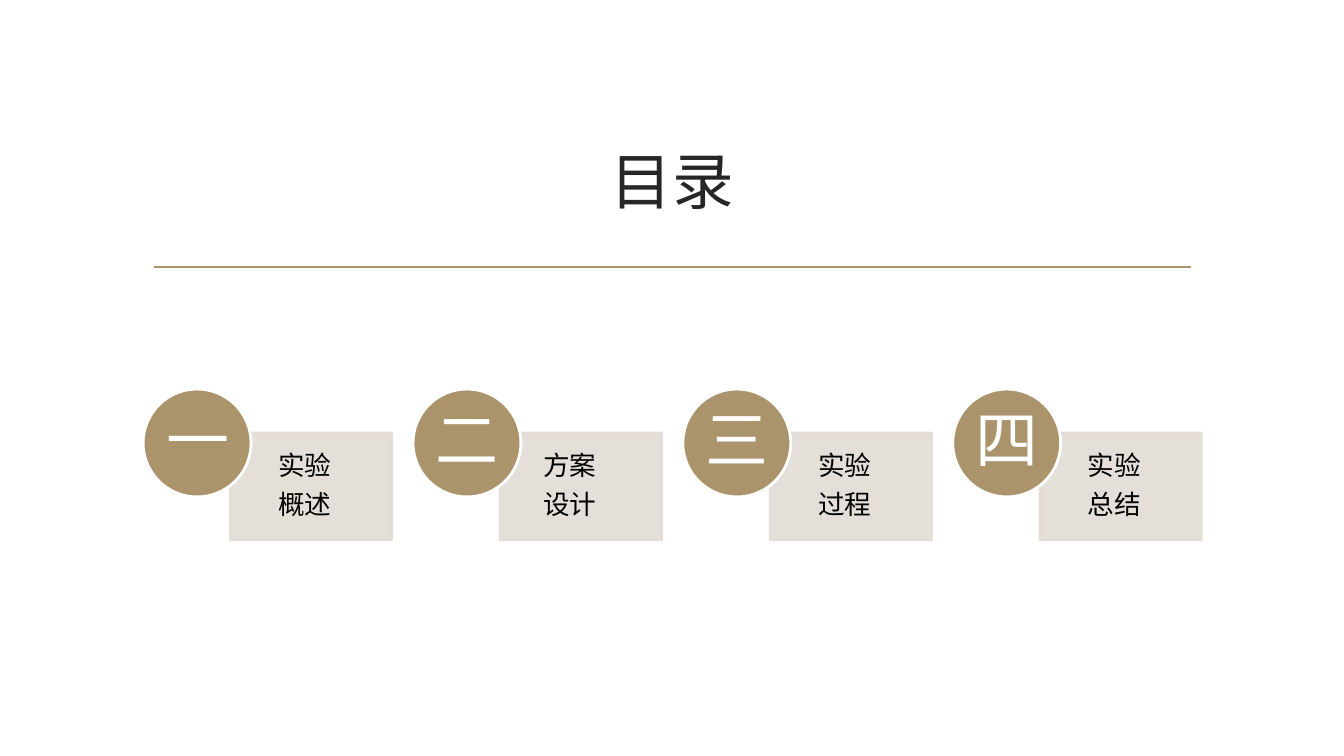
import pptx
import pptx.dml.color
import pptx.enum.shapes
import pptx.enum.text
import pptx.util
from dataclasses import dataclass
from lxml import etree
from pptx.util import Inches

# Content: number, label lines, label indent in inches
TITLE = "目录"
SECTIONS = [
    ("一", ["实验", "概述"], 0.22),
    ("二", ["方案", "设计"], 0.17),
    ("三", ["实验", "过程"], 0.22),
    ("四", ["实验", "总结"], 0.22),
]


@dataclass(frozen=True)
class Theme:
    font: str = "Times New Roman"
    gold: str = "AB946B"
    sand: str = "E2DCD4"
    white: str = "FFFFFF"
    black: str = "000000"
    title_color: str = "262626"
    title_size: int = 44
    number_size: int = 45
    label_size: int = 19


THEME = Theme()
ALIGN = pptx.enum.text.PP_ALIGN
SHAPES = pptx.enum.shapes.MSO_SHAPE
DRAWING = "{http://schemas.openxmlformats.org/drawingml/2006/main}"

# Layout in inches
FIRST_LEFT, LAST_LEFT = 1.42, 9.45
PITCH = (LAST_LEFT - FIRST_LEFT) / (len(SECTIONS) - 1)
CIRCLE_TOP, CIRCLE_SIZE = 3.86, 1.07
NUMBER_INSET, NUMBER_SIZE = 0.16, 0.76
CARD_OFFSET, CARD_TOP, CARD_WIDTH, CARD_HEIGHT = 0.86, 4.29, 1.61, 1.07
LABEL_OFFSET, LABEL_WIDTH = 1.12, 1.35


def rgb(value):
    return pptx.dml.color.RGBColor.from_string(value)


def add_run(paragraph, text, size, color):
    run = paragraph.add_run()
    run.text = text
    run.font.name = THEME.font
    run.font.size = pptx.util.Pt(size)
    run.font.color.rgb = rgb(color)


def add_panel(slide, kind, box, fill, line, line_width, opacity=100):
    shape = slide.shapes.add_shape(kind, *map(Inches, box))
    shape.shadow.inherit = False
    shape.fill.solid()
    shape.fill.fore_color.rgb = rgb(fill)
    shape.line.color.rgb = rgb(line)
    shape.line.width = pptx.util.Pt(line_width)
    if opacity < 100:
        for color in shape._element.spPr.iter(DRAWING + "srgbClr"):
            etree.SubElement(color, DRAWING + "alpha", val=str(opacity * 1000))


def add_text(slide, box, lines, size, color, align, insets=(0, 0, 0, 0), indent=0):
    frame = slide.shapes.add_textbox(*map(Inches, box)).text_frame
    frame.word_wrap = True
    frame.vertical_anchor = pptx.enum.text.MSO_ANCHOR.MIDDLE
    (frame.margin_left, frame.margin_top,
     frame.margin_right, frame.margin_bottom) = map(Inches, insets)
    for index, text in enumerate(lines):
        paragraph = frame.add_paragraph() if index else frame.paragraphs[0]
        paragraph.alignment = align
        paragraph.line_spacing = 0.9
        properties = paragraph._p.get_or_add_pPr()
        if indent:
            properties.set("marL", str(Inches(indent)))
            properties.set("indent", "0")
        # Space after as a share of the type size
        space_after = etree.SubElement(properties, DRAWING + "spcAft")
        etree.SubElement(space_after, DRAWING + "spcPct", val="35000")
        add_run(paragraph, text, size, color)


def add_title(slide):
    title = slide.shapes.title
    title.left, title.top = Inches(1.42), Inches(1.07)
    title.width, title.height = Inches(10.5), Inches(1.43)
    frame = title.text_frame
    frame.auto_size = pptx.enum.text.MSO_AUTO_SIZE.NONE
    frame.vertical_anchor = pptx.enum.text.MSO_ANCHOR.MIDDLE
    frame.paragraphs[0].alignment = ALIGN.CENTER
    add_run(frame.paragraphs[0], TITLE, THEME.title_size, THEME.title_color)


def add_rule(slide):
    rule = slide.shapes.add_connector(
        pptx.enum.shapes.MSO_CONNECTOR.STRAIGHT,
        Inches(1.53), Inches(2.65), Inches(11.81), Inches(2.65))
    rule.line.color.rgb = rgb(THEME.gold)
    rule.line.width = pptx.util.Pt(1.25)
    etree.SubElement(rule._element.spPr, DRAWING + "effectLst")


def add_section(slide, left, number, lines, indent):
    # Card and label
    add_panel(slide, SHAPES.RECTANGLE,
              (left + CARD_OFFSET, CARD_TOP, CARD_WIDTH, CARD_HEIGHT),
              THEME.sand, THEME.sand, 1.25, opacity=90)
    add_text(slide, (left + LABEL_OFFSET, CARD_TOP, LABEL_WIDTH, CARD_HEIGHT),
             lines, THEME.label_size, THEME.black, ALIGN.LEFT,
             insets=(0, 0.15, 0.15, 0.15), indent=indent)
    # Circle and number
    add_panel(slide, SHAPES.OVAL, (left, CIRCLE_TOP, CIRCLE_SIZE, CIRCLE_SIZE),
              THEME.gold, THEME.white, 2)
    add_text(slide, (left + NUMBER_INSET, CIRCLE_TOP + NUMBER_INSET,
                     NUMBER_SIZE, NUMBER_SIZE),
             [number], THEME.number_size, THEME.white, ALIGN.CENTER)


def main():
    presentation = pptx.Presentation()
    presentation.slide_width = Inches(13.33)
    presentation.slide_height = Inches(7.5)
    slide = presentation.slides.add_slide(presentation.slide_layouts[5])
    add_rule(slide)
    add_title(slide)
    for index, section in enumerate(SECTIONS):
        add_section(slide, FIRST_LEFT + index * PITCH, *section)
    presentation.save("out.pptx")


if __name__ == "__main__":
    main()
